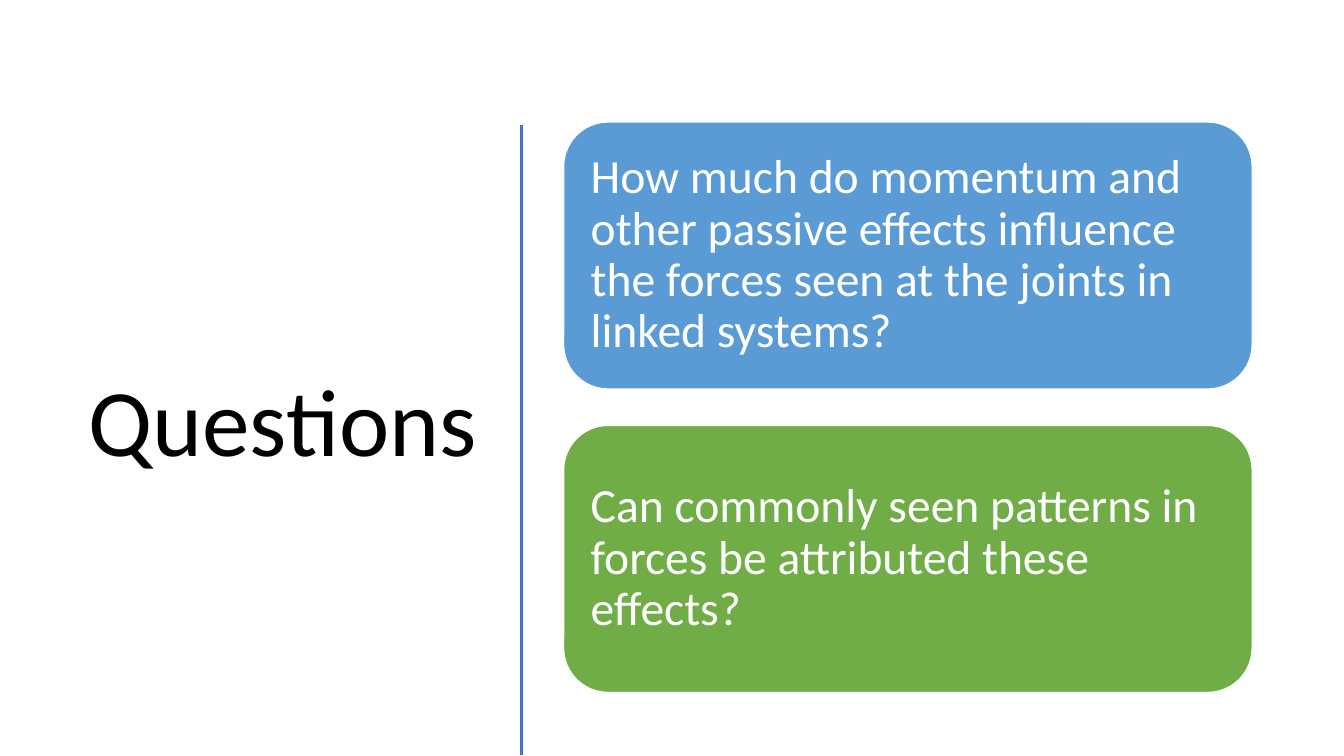
from lxml import etree
from pptx import Presentation
from pptx.dml.color import RGBColor
from pptx.enum.shapes import MSO_CONNECTOR, MSO_SHAPE
from pptx.enum.text import MSO_ANCHOR, PP_ALIGN
from pptx.oxml.ns import qn
from pptx.util import Inches, Pt

STRAIGHT = MSO_CONNECTOR.STRAIGHT
ROUNDED = MSO_SHAPE.ROUNDED_RECTANGLE
MIDDLE = MSO_ANCHOR.MIDDLE
LEFT, RIGHT = PP_ALIGN.LEFT, PP_ALIGN.RIGHT

COLOURS = {
    "title": "000000",
    "text": "FFFFFF",
    "outline": "FFFFFF",
    "divider": "4472C4",
    "blue": "5B9BD5",
    "green": "70AD47",
}

QUESTIONS = [
    ("How much do momentum and other passive effects influence "
     "the forces seen at the joints in linked systems?", "blue"),
    ("Can commonly seen patterns in forces be attributed these effects?", "green"),
]
FIRST_CARD_TOP = 1.21
CARD_STEP = 3.01


def colour(name):
    return RGBColor.from_string(COLOURS[name])


class SlideBuilder:
    """Adds elements in one shared style to a slide."""

    font_name = "Calibri"
    line_spacing = 0.9

    def __init__(self, slide):
        self.shapes = slide.shapes

    def set_text(self, shape, text, size, colour_name, align):
        frame = shape.text_frame
        frame.word_wrap = True
        frame.vertical_anchor = MIDDLE
        frame.text = text
        para = frame.paragraphs[0]
        para.alignment = align
        para.line_spacing = self.line_spacing
        font = para.runs[0].font
        font.name = self.font_name
        font.size = Pt(size)
        font.color.rgb = colour(colour_name)

    def title(self, text, left, top, width, height):
        box = self.shapes.add_textbox(
            Inches(left), Inches(top), Inches(width), Inches(height))
        self.set_text(box, text, 68, "title", RIGHT)

    def divider(self, x, top, bottom):
        line = self.shapes.add_connector(
            STRAIGHT, Inches(x), Inches(top), Inches(x), Inches(bottom))
        line.line.color.rgb = colour("divider")
        line.line.width = Pt(2)
        etree.SubElement(line._element.spPr, qn("a:effectLst"))

    def card(self, text, fill, left, top, width, height):
        card = self.shapes.add_shape(
            ROUNDED, Inches(left), Inches(top), Inches(width), Inches(height))
        card.shadow.inherit = False
        card.fill.solid()
        card.fill.fore_color.rgb = colour(fill)
        card.line.color.rgb = colour("outline")
        card.line.width = Pt(1)
        frame = card.text_frame
        frame.margin_left = frame.margin_right = Inches(0.14)
        frame.margin_top = frame.margin_bottom = Inches(0.14)
        self.set_text(card, text, 34, "text", LEFT)


def main():
    deck = Presentation()
    deck.slide_width = Inches(13.33)
    deck.slide_height = Inches(7.5)
    page = SlideBuilder(deck.slides.add_slide(deck.slide_layouts[6]))

    page.title("Questions", 0.52, 1.17, 4.31, 6.11)
    page.divider(5.17, 1.24, 7.49)
    for index, (question, fill) in enumerate(QUESTIONS):
        page.card(question, fill, 5.59, FIRST_CARD_TOP + index * CARD_STEP, 6.83, 2.65)

    deck.save("out.pptx")


if __name__ == "__main__":
    main()
